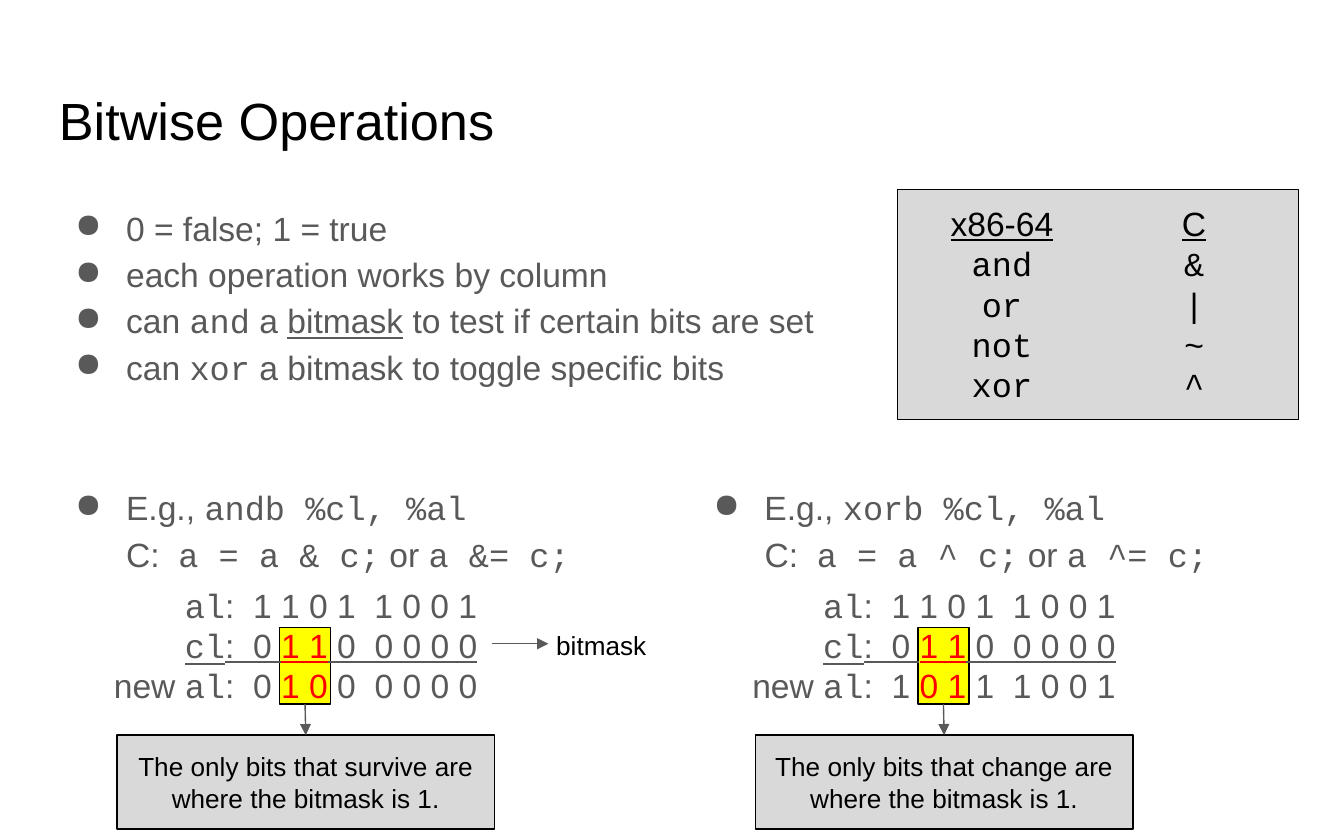
from lxml import etree
from pptx import Presentation
from pptx.dml.color import RGBColor
from pptx.enum import shapes, text
from pptx.oxml import ns
from pptx.util import Inches, Pt

BLACK = RGBColor(0x00, 0x00, 0x00)
GREY = RGBColor(0x59, 0x59, 0x59)
PANEL = RGBColor(0xD9, 0xD9, 0xD9)
YELLOW = RGBColor(0xFF, 0xFF, 0x00)
RED = RGBColor(0xFF, 0x00, 0x00)
SANS, MONO = "Arial", "Courier New"
LEFT, CENTER, RIGHT = text.PP_ALIGN.LEFT, text.PP_ALIGN.CENTER, text.PP_ALIGN.RIGHT


def code(words, **style):
    """Return a run of monospaced text."""
    return words, {"name": MONO, **style}


def plain(words, **style):
    """Return a run in the paragraph's own font."""
    return words, style


def add_bullet(paragraph):
    """Give a paragraph a hanging round bullet."""
    props = paragraph._p.get_or_add_pPr()
    props.set("marL", str(Inches(0.5)))
    props.set("indent", str(-Inches(0.38)))
    colour = etree.Element(ns.qn("a:buClr"))
    etree.SubElement(colour, ns.qn("a:srgbClr"), val=str(GREY))
    bullet = etree.Element(ns.qn("a:buChar"), char="●")
    props.insert_element_before(colour, "a:defRPr")
    props.insert_element_before(bullet, "a:defRPr")


def fill_text(frame, lines, size=18, colour=GREY, align=LEFT, spacing=None, bullets=False):
    """Write lines of runs into a text frame."""
    frame.word_wrap = True
    frame.margin_left = frame.margin_right = Inches(0.1)
    frame.margin_top = frame.margin_bottom = Inches(0.1)
    for index, line in enumerate(lines):
        paragraph = frame.add_paragraph() if index else frame.paragraphs[0]
        paragraph.alignment = align
        if spacing:
            paragraph.line_spacing = spacing
        paragraph.font.size = Pt(size)
        paragraph.font.name = SANS
        paragraph.font.color.rgb = colour
        if bullets:
            add_bullet(paragraph)
        for words, style in line:
            run = paragraph.add_run()
            run.text = words
            if "name" in style:
                run.font.name = style["name"]
            if "colour" in style:
                run.font.color.rgb = style["colour"]
            if style.get("underline"):
                run.font.underline = True


def add_text(slide, left, top, width, height, lines, **options):
    """Add a text box holding lines of runs."""
    box = slide.shapes.add_textbox(Inches(left), Inches(top), Inches(width), Inches(height))
    fill_text(box.text_frame, lines, **options)
    return box


def add_panel(slide, left, top, width, height, fill):
    """Add a filled rectangle with a thin black outline."""
    panel = slide.shapes.add_shape(
        shapes.MSO_SHAPE.RECTANGLE, Inches(left), Inches(top), Inches(width), Inches(height))
    panel.shadow.inherit = False
    panel.fill.solid()
    panel.fill.fore_color.rgb = fill
    panel.line.color.rgb = BLACK
    panel.line.width = Pt(0.75)
    return panel


def add_arrow(slide, x1, y1, x2, y2):
    """Add a thin grey arrow pointing at its second end."""
    arrow = slide.shapes.add_connector(
        shapes.MSO_CONNECTOR.STRAIGHT, Inches(x1), Inches(y1), Inches(x2), Inches(y2))
    arrow.line.color.rgb = GREY
    arrow.line.width = Pt(0.75)
    etree.SubElement(arrow.line._get_or_add_ln(), ns.qn("a:tailEnd"), type="triangle")
    etree.SubElement(arrow._element.spPr, ns.qn("a:effectLst"))
    return arrow


def add_title(slide, left, top, width, height):
    """Place the slide title."""
    title = add_text(slide, left, top, width, height, [[plain("Bitwise Operations")]],
                     size=28, colour=BLACK)
    title.text_frame.vertical_anchor = text.MSO_ANCHOR.MIDDLE


def add_facts(slide, left, top, width, height):
    """Place the opening bullet list."""
    facts = [
        [plain("0 = false; 1 = true")],
        [plain("each operation works by column")],
        [plain("can "), code("and"), plain(" a "), plain("bitmask", underline=True),
         plain(" to test if certain bits are set")],
        [plain("can "), code("xor"), plain(" a bitmask to toggle specific bits")],
    ]
    add_text(slide, left, top, width, height, facts, spacing=1.15, bullets=True)


def add_operators(slide, left, top, width, height):
    """Place the panel that pairs assembly and C operators."""
    add_panel(slide, left, top, width, height, PANEL)
    columns = [("x86-64", ["and", "or", "not", "xor"]), ("C", ["&", "|", "~", "^"])]
    for index, (heading, operators) in enumerate(columns):
        lines = [[plain(heading, underline=True)]] + [[code(name)] for name in operators]
        add_text(slide, left + index * 1.43, top, 1.55, height, lines,
                 colour=BLACK, align=CENTER)


def add_example(slide, left, top, instruction, statements, result, caption):
    """Place one worked example with its highlighted bits and caption."""
    highlight = add_panel(slide, left + 1.74, top + 1.19, 0.38, 0.57, YELLOW)
    add_text(slide, left, top, 4.56, 0.52, [[plain("E.g., "), code(instruction)]],
             spacing=1.15, bullets=True)
    long_form, short_form = statements
    add_text(slide, left + 0.5, top + 0.35, 3.92, 0.52,
             [[plain("C:  "), code(long_form), plain(" or "), code(short_form)]], spacing=1.15)
    before, changed, after = result
    bits = [
        [code("al"), plain(":  1 1 0 1  1 0 0 1")],
        [code("cl", underline=True), plain(":  0 ", underline=True),
         plain("1 1", underline=True, colour=RED), plain(" 0  0 0 0 0", underline=True)],
        [plain("new "), code("al"), plain(f":  {before} "), plain(changed, colour=RED),
         plain(f" {after}")],
    ]
    add_text(slide, left - 0.33, top + 0.77, 3.64, 1.15, bits, align=RIGHT)
    note = add_panel(slide, left + 0.53, top + 1.99, 2.81, 0.7, PANEL)
    fill_text(note.text_frame, [[plain(caption)]], size=14, colour=BLACK, align=CENTER)
    note.text_frame.vertical_anchor = text.MSO_ANCHOR.MIDDLE
    pointer = add_arrow(slide, left + 1.93, top + 1.76, left + 1.93, top + 1.99)
    pointer.begin_connect(highlight, 2)
    pointer.end_connect(note, 0)


def add_bitmask_label(slide, left, top):
    """Place the arrow and label naming the bitmask."""
    add_arrow(slide, left, top, left + 0.42, top)
    add_text(slide, left + 0.38, top - 0.21, 1.03, 0.42, [[plain("bitmask")]],
             size=14, colour=BLACK)


def main():
    """Build and save the slide."""
    deck = Presentation()
    deck.slide_width, deck.slide_height = Inches(10), Inches(6.25)
    slide = deck.slides.add_slide(deck.slide_layouts[6])
    add_title(slide, 0.34, 0.54, 9.32, 0.7)
    add_facts(slide, 0.34, 1.4, 6.3, 1.6)
    add_operators(slide, 6.68, 1.41, 2.98, 1.71)
    examples = [
        ("andb %cl, %al", ("a = a & c;", "a &= c;"), ("0", "1 0", "0  0 0 0 0"),
         "The only bits that survive are where the bitmask is 1."),
        ("xorb %cl, %al", ("a = a ^ c;", "a ^= c;"), ("1", "0 1", "1  1 0 0 1"),
         "The only bits that change are where the bitmask is 1."),
    ]
    for index, example in enumerate(examples):
        add_example(slide, 0.34 + index * 4.75, 3.48, *example)
    add_bitmask_label(slide, 3.66, 4.79)
    deck.save("out.pptx")


if __name__ == "__main__":
    main()
